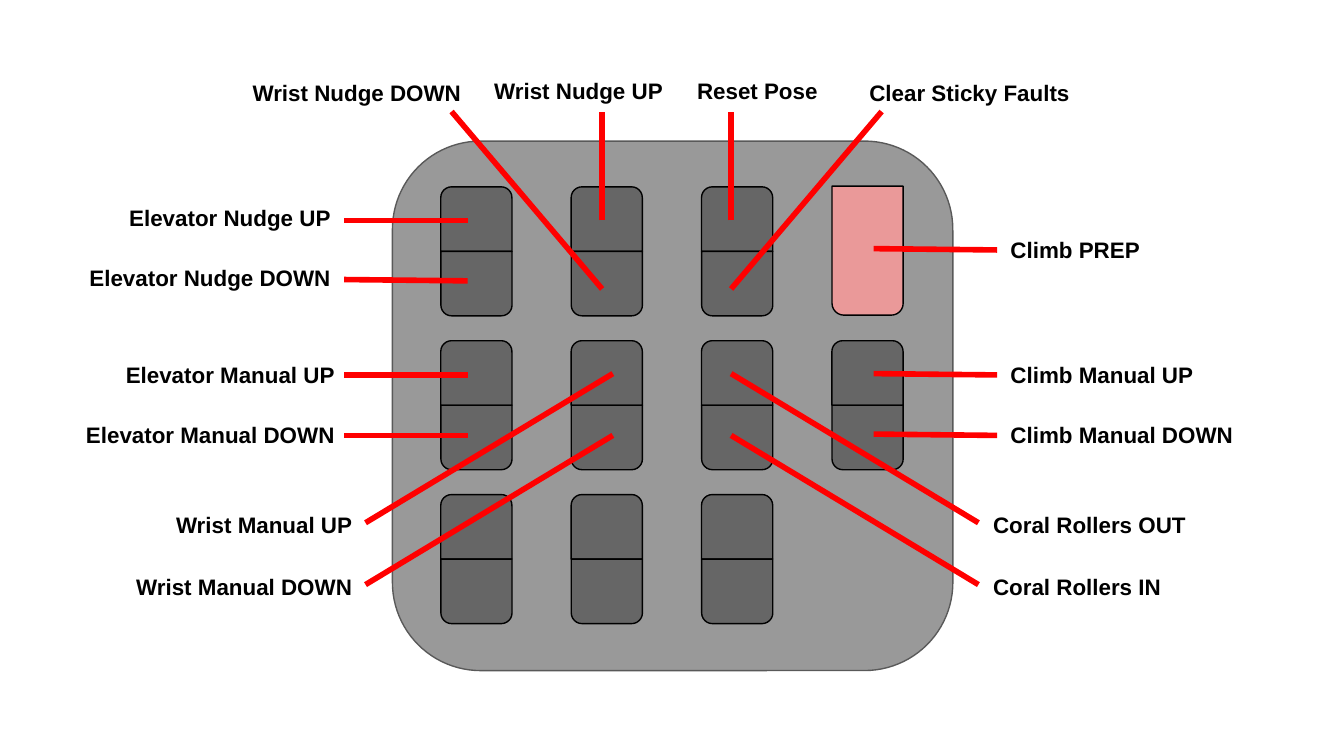
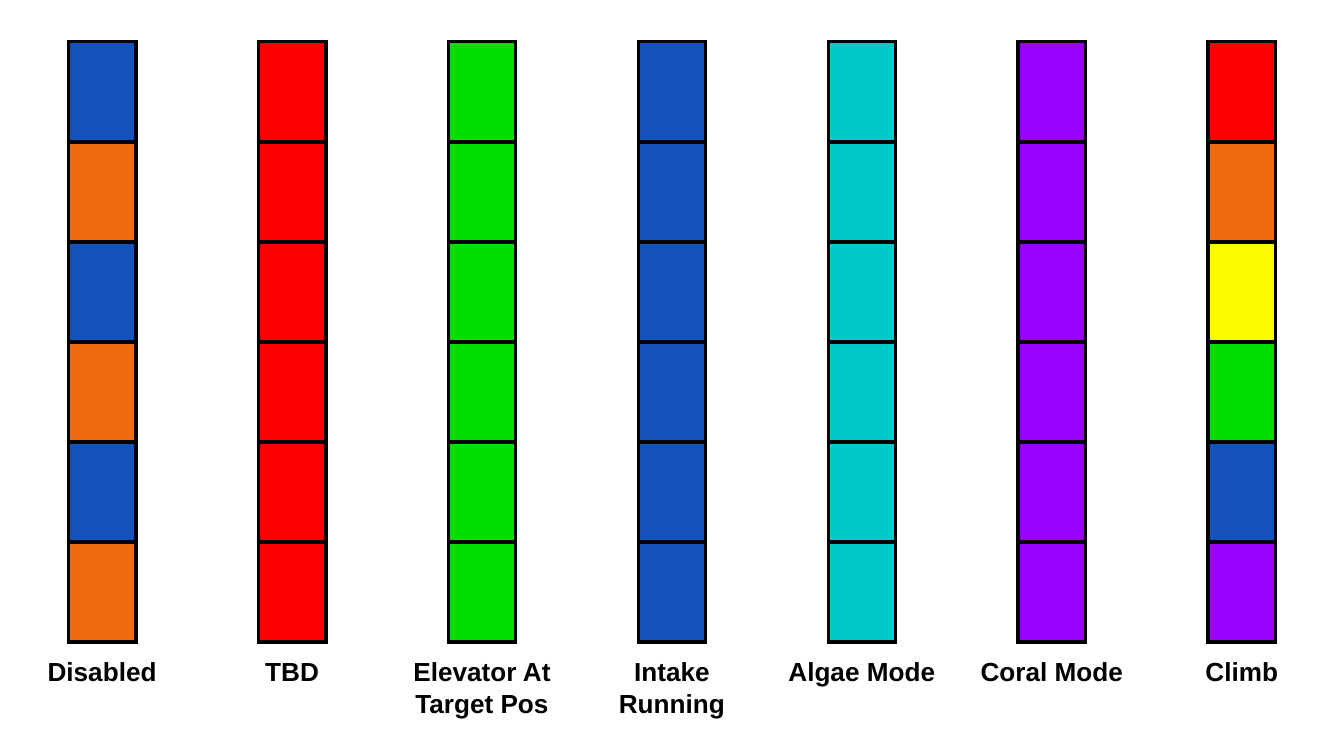
from dataclasses import dataclass
from itertools import product

import lxml.etree
import pptx
import pptx.dml.color
import pptx.enum.shapes
import pptx.enum.text
import pptx.oxml.ns
import pptx.util

MSO = pptx.enum.shapes.MSO_SHAPE
ALIGN = pptx.enum.text.PP_ALIGN
ANCHOR = pptx.enum.text.MSO_ANCHOR
qn = pptx.oxml.ns.qn

# Every slide lies on a grid of 100 columns by 56.25 rows of square cells.
COLUMNS, ROWS = 100, 56.25
CELL = 0.1


@dataclass(frozen=True)
class Theme:
    font: str = "Arial"
    ink: str = "000000"
    panel: str = "999999"
    panel_edge: str = "595959"
    key: str = "666666"
    prep_key: str = "EA9999"
    red: str = "FF0000"
    orange: str = "F06B0E"
    yellow: str = "FAFA00"
    green: str = "00E000"
    blue: str = "1352BC"
    cyan: str = "00C9C9"
    purple: str = "9900FF"
    callout_size: float = 12
    caption_size: float = 14
    outline: float = 0.75
    leader: float = 3
    border: float = 2.21


THEME = Theme()


@dataclass(frozen=True)
class Box:
    left: float
    top: float
    width: float
    height: float

    def emu(self) -> tuple:
        return tuple(map(cells, (self.left, self.top, self.width, self.height)))


@dataclass(frozen=True)
class Callout:
    """A label whose leader runs from a key to a tip; edge is the text box's aligned side."""
    text: str
    key: tuple[float, float]
    tip: tuple[float, float]
    edge: float
    top: float
    align: ALIGN
    width: float = 21.1

    def box(self) -> Box:
        share = {ALIGN.LEFT: 0, ALIGN.CENTER: 0.5, ALIGN.RIGHT: 1}[self.align]
        return Box(self.edge - share * self.width, self.top, self.width, 2.9)


@dataclass(frozen=True)
class Strip:
    caption: str
    colors: tuple[str, ...]


LEFT, CENTER, RIGHT = ALIGN.LEFT, ALIGN.CENTER, ALIGN.RIGHT
CALLOUTS = (
    Callout("Elevator Nudge UP", (34.8, 16.4), (25.6, 16.4), 25.6, 14.7, RIGHT),
    Callout("Elevator Nudge DOWN", (34.8, 20.9), (25.6, 20.8), 25.6, 19.2, RIGHT),
    Callout("Elevator Manual UP", (34.8, 27.9), (25.6, 27.9), 25.9, 26.4, RIGHT),
    Callout("Elevator Manual DOWN", (34.8, 32.4), (25.6, 32.4), 25.9, 30.9, RIGHT),
    Callout("Wrist Manual UP", (45.6, 27.8), (27.2, 38.9), 27.2, 37.6, RIGHT),
    Callout("Wrist Manual DOWN", (45.6, 32.4), (27.2, 43.5), 27.2, 42.2, RIGHT),
    Callout("Wrist Nudge DOWN", (44.8, 21.5), (33.6, 8.3), 35.3, 5.4, RIGHT),
    Callout("Wrist Nudge UP", (44.8, 16.4), (44.8, 8.3), 43.05, 5.3, CENTER, 14.9),
    Callout("Reset Pose", (54.4, 16.4), (54.4, 8.3), 56.35, 5.3, CENTER, 14.9),
    Callout("Clear Sticky Faults", (54.4, 21.5), (65.6, 8.3), 63.7, 5.4, LEFT),
    Callout("Climb PREP", (65, 18.5), (74.2, 18.6), 74.2, 17.1, LEFT, 15.9),
    Callout("Climb Manual UP", (65, 27.8), (74.2, 27.9), 74.2, 26.4, LEFT),
    Callout("Climb Manual DOWN", (65, 32.3), (74.2, 32.4), 74.2, 30.9, LEFT),
    Callout("Coral Rollers OUT", (54.4, 27.8), (72.8, 38.9), 72.9, 37.6, LEFT),
    Callout("Coral Rollers IN", (54.4, 32.4), (72.8, 43.5), 72.9, 42.2, LEFT),
)

STRIPS = (
    Strip("Disabled", (THEME.blue, THEME.orange) * 3),
    Strip("TBD", (THEME.red,) * 6),
    Strip("Elevator At Target Pos", (THEME.green,) * 6),
    Strip("Intake Running", (THEME.blue,) * 6),
    Strip("Algae Mode", (THEME.cyan,) * 6),
    Strip("Coral Mode", (THEME.purple,) * 6),
    Strip("Climb", (THEME.red, THEME.orange, THEME.yellow,
                    THEME.green, THEME.blue, THEME.purple)),
)


def cells(count: float) -> int:
    return pptx.util.Inches(count * CELL)


def rgb(color: str) -> pptx.dml.color.RGBColor:
    return pptx.dml.color.RGBColor.from_string(color)


def add_outlined(shapes, kind: MSO, box: Box, fill: str, edge: str, rotation: float = 0) -> None:
    sp = shapes.add_shape(kind, *box.emu())
    sp.shadow.inherit = False
    sp.rotation = rotation
    sp.fill.solid()
    sp.fill.fore_color.rgb = rgb(fill)
    sp.line.color.rgb = rgb(edge)
    sp.line.width = pptx.util.Pt(THEME.outline)


def add_label(s, text: str, box: Box, size: float, align: ALIGN, anchor: ANCHOR) -> None:
    tf = s.shapes.add_textbox(*box.emu()).text_frame
    tf.word_wrap = True
    tf.vertical_anchor = anchor
    tf.margin_left = tf.margin_right = tf.margin_top = tf.margin_bottom = cells(1)
    tf.text = text
    p = tf.paragraphs[0]
    p.alignment = align
    font = p.runs[0].font
    font.name, font.size, font.bold = THEME.font, pptx.util.Pt(size), True
    font.color.rgb = rgb(THEME.ink)


def add_leader(s, callout: Callout) -> None:
    ends = map(cells, callout.key + callout.tip)
    line = s.shapes.add_connector(pptx.enum.shapes.MSO_CONNECTOR.STRAIGHT, *ends)
    line.line.color.rgb = rgb(THEME.red)
    line.line.width = pptx.util.Pt(THEME.leader)
    lxml.etree.SubElement(line._element.spPr, qn("a:effectLst"))


def add_console(s) -> None:
    """Draw the panel with its grid of two-key switches and the tall climb key."""
    shapes = s.shapes.add_group_shape().shapes
    add_outlined(shapes, MSO.ROUNDED_RECTANGLE, Box(29.2, 10.5, 41.7, 39.4),
                 THEME.panel, THEME.panel_edge)
    key_width, key_height = 5.3, 4.8
    for col, row in product(range(4), range(3)):
        left, top = 32.8 + 9.7 * col, 13.9 + 11.45 * row
        if (col, row) == (3, 2):
            continue
        if (col, row) == (3, 0):
            add_outlined(shapes, MSO.ROUND_2_SAME_RECTANGLE,
                         Box(left, top - 0.05, key_width, 2 * key_height),
                         THEME.prep_key, THEME.ink, 180)
            continue
        for half in range(2):
            add_outlined(shapes, MSO.ROUND_2_SAME_RECTANGLE,
                         Box(left, top + half * key_height, key_width, key_height),
                         THEME.key, THEME.ink, 180 * half)


def set_borders(cell) -> None:
    tc_pr = cell._tc.get_or_add_tcPr()
    for i, side in enumerate("LRTB"):
        ln = lxml.etree.Element(qn(f"a:ln{side}"), w=str(pptx.util.Pt(THEME.border)))
        fill = lxml.etree.SubElement(ln, qn("a:solidFill"))
        lxml.etree.SubElement(fill, qn("a:srgbClr"), val=THEME.ink)
        tc_pr.insert(i, ln)


def add_strip(s, strip: Strip, box: Box) -> None:
    table = s.shapes.add_table(len(strip.colors), 1, *box.emu()).table
    table.first_row = table.horz_banding = False
    for row, color in enumerate(strip.colors):
        cell = table.cell(row, 0)
        cell.fill.solid()
        cell.fill.fore_color.rgb = rgb(color)
        set_borders(cell)


def build_controls(s) -> None:
    add_console(s)
    for callout in CALLOUTS:
        add_leader(s, callout)
    for callout in CALLOUTS:
        add_label(s, callout.text, callout.box(), THEME.callout_size,
                  callout.align, ANCHOR.MIDDLE)


def build_lights(s) -> None:
    strip_width, caption_width = 5, 13.1
    margin = 5.1
    pitch = (COLUMNS - 2 * margin - strip_width) / (len(STRIPS) - 1)
    for i, strip in enumerate(STRIPS):
        left = margin + i * pitch
        add_strip(s, strip, Box(left, 3.1, strip_width, 44.7))
        add_label(s, strip.caption,
                  Box(left + (strip_width - caption_width) / 2, 47.8, caption_width, 4.4),
                  THEME.caption_size, CENTER, ANCHOR.TOP)


def main() -> None:
    prs = pptx.Presentation()
    prs.slide_width, prs.slide_height = cells(COLUMNS), cells(ROWS)
    for build in (build_controls, build_lights):
        build(prs.slides.add_slide(prs.slide_layouts[6]))
    prs.save("out.pptx")


if __name__ == "__main__":
    main()
